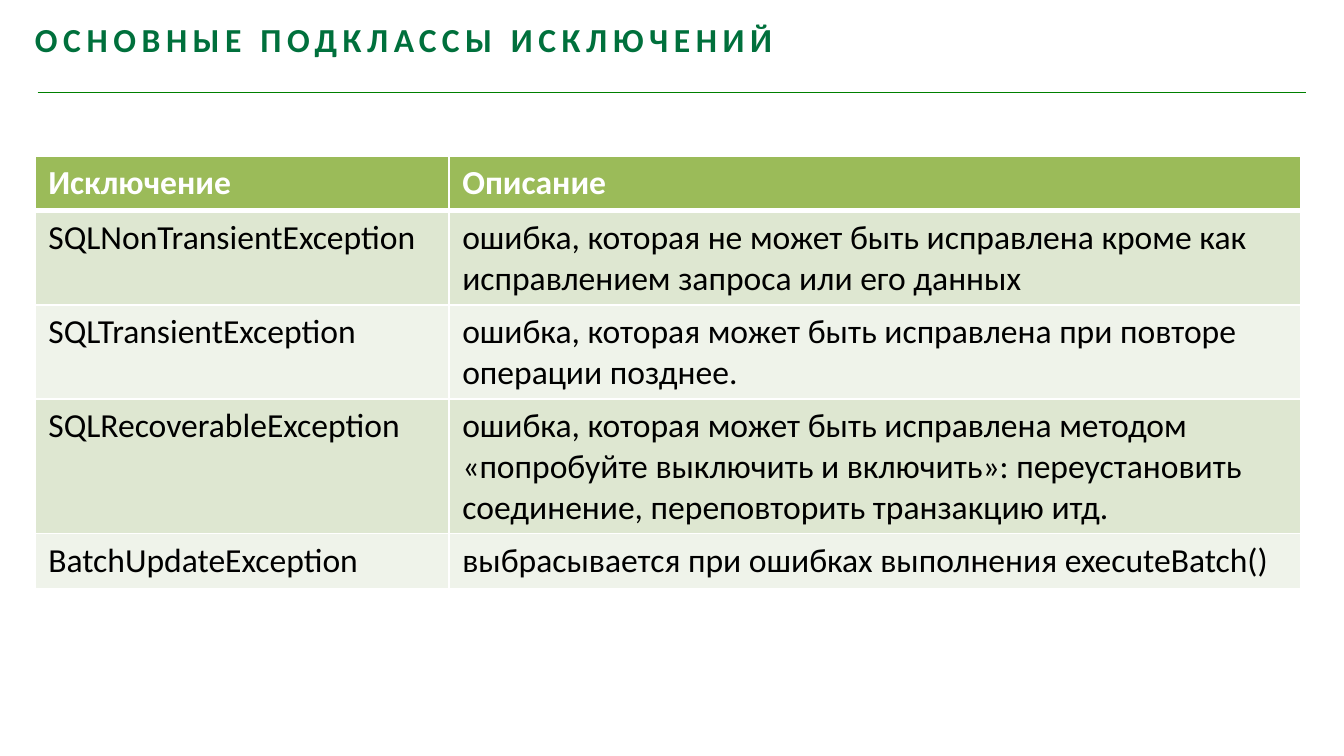
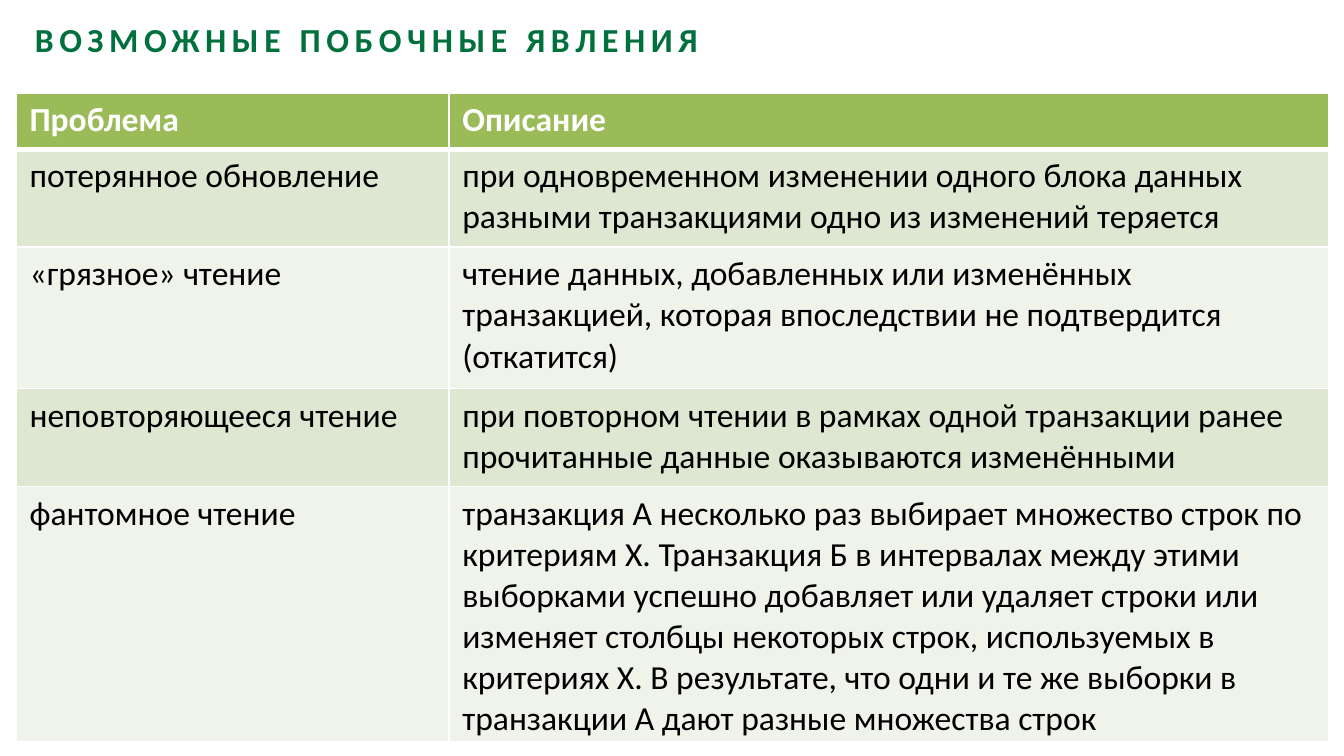
"""Build two slides on SQL exceptions and transaction side effects."""
from lxml import etree
from pptx import Presentation
from pptx import util as u
from pptx.dml.color import RGBColor
from pptx.enum import shapes, text
from pptx.oxml.ns import qn

FONT = "Calibri"
TITLE, RULE, WHITE, BLACK = "00703C", "008000", "FFFFFF", "000000"
HEADER, BANDS = "9BBB59", ("DEE7D1", "EFF3EA")


def rgb(value):
    return RGBColor.from_string(value)


def write(tf, content, size=18, color=BLACK, bold=False, spacing=0):
    tf.word_wrap = True
    p = tf.paragraphs[0]
    p.alignment = text.PP_ALIGN.LEFT
    r = p.add_run()
    r.text = content
    r.font.name, r.font.size, r.font.bold = FONT, u.Pt(size), bold
    r.font.color.rgb = rgb(color)
    if spacing:
        r._r.get_or_add_rPr().set("spc", str(spacing * 100))


class Deck:
    def __init__(self):
        self.prs = Presentation()
        self.prs.slide_width = u.Inches(10)
        self.prs.slide_height = u.Inches(10 * 9 / 16)
        self.s = None

    def slide(self, title):
        self.s = self.prs.slides.add_slide(self.prs.slide_layouts[5])
        self.title(title)
        self.rule(0.28, 9.72, 0.69)

    def title(self, content):
        sp = self.s.shapes.title
        sp.left, sp.top, sp.width, sp.height = map(u.Inches, (0.26, 0.09, 7.17, 0.35))
        tf = sp.text_frame
        tf.margin_left, tf.margin_top, tf.margin_right, tf.margin_bottom = map(
            u.Inches, (0, 0.05, 0.1, 0))
        tf.vertical_anchor = text.MSO_ANCHOR.TOP
        tf.auto_size = text.MSO_AUTO_SIZE.SHAPE_TO_FIT_TEXT
        write(tf, content, color=TITLE, bold=True, spacing=3)

    def rule(self, left, right, y):
        ln = self.s.shapes.add_connector(
            shapes.MSO_CONNECTOR.STRAIGHT, *map(u.Inches, (left, y, right, y)))
        ln.line.color.rgb, ln.line.width = rgb(RULE), u.Pt(0.75)
        etree.SubElement(ln._element.spPr, qn("a:effectLst"))

    def borders(self, cell, **widths):
        tc_pr = cell._tc.get_or_add_tcPr()
        for i, side in enumerate("LRTB"):
            ln = etree.Element(qn(f"a:ln{side}"), w=str(u.Pt(widths.get(side, 1))))
            fill = etree.SubElement(ln, qn("a:solidFill"))
            etree.SubElement(fill, qn("a:srgbClr"), val=WHITE)
            tc_pr.insert(i, ln)

    def table(self, box, cols, heights, rows):
        gf = self.s.shapes.add_table(len(rows), len(cols), *map(u.Inches, box))
        tbl = gf.table
        for col, width in zip(tbl.columns, cols):
            col.width = u.Inches(width)
        for i, (row, height, contents) in enumerate(zip(tbl.rows, heights, rows)):
            row.height = u.Inches(height)
            head = i == 0
            for cell, content in zip(row.cells, contents):
                cell.fill.solid()
                cell.fill.fore_color.rgb = rgb(HEADER if head else BANDS[(i - 1) % 2])
                self.borders(cell, T=3 if i == 1 else 1, B=3 if head else 1)
                write(cell.text_frame, content, color=WHITE if head else BLACK, bold=head)
        gf.height = u.Inches(box[3])


EXCEPTIONS = [
    ("Исключение", "Описание"),
    ("SQLNonTransientException",
     "ошибка, которая не может быть исправлена кроме как исправлением запроса или его данных"),
    ("SQLTransientException",
     "ошибка, которая может быть исправлена при повторе операции позднее."),
    ("SQLRecoverableException",
     "ошибка, которая может быть исправлена методом «попробуйте выключить и включить»: "
     "переустановить соединение, переповторить транзакцию итд."),
    ("BatchUpdateException", "выбрасывается при ошибках выполнения executeBatch()"),
]

SIDE_EFFECTS = [
    ("Проблема", "Описание"),
    ("потерянное обновление",
     "при одновременном изменении одного блока данных разными транзакциями "
     "одно из изменений теряется"),
    ("«грязное» чтение",
     "чтение данных, добавленных или изменённых транзакцией, "
     "которая впоследствии не подтвердится (откатится)"),
    ("неповторяющееся чтение",
     "при повторном чтении в рамках одной транзакции ранее прочитанные данные "
     "оказываются изменёнными"),
    ("фантомное чтение",
     "транзакция А несколько раз выбирает множество строк по критериям X. "
     "Транзакция Б в интервалах между этими выборками успешно добавляет или удаляет "
     "строки или изменяет столбцы некоторых строк, используемых в критериях X. "
     "В результате, что одни и те же выборки в транзакции A дают разные множества строк"),
]


def main():
    deck = Deck()
    deck.slide("ОСНОВНЫЕ ПОДКЛАССЫ ИСКЛЮЧЕНИЙ")
    deck.table((0.26, 1.16, 9.42, 3.21), (3.08, 6.34), [0.41] * 5, EXCEPTIONS)
    deck.slide("ВОЗМОЖНЫЕ ПОБОЧНЫЕ ЯВЛЕНИЯ")
    deck.table((0.12, 0.69, 9.76, 4.84), (3.22, 6.55),
               (0.42, 0.73, 1.05, 0.73, 0.43), SIDE_EFFECTS)
    deck.prs.save("out.pptx")


if __name__ == "__main__":
    main()
